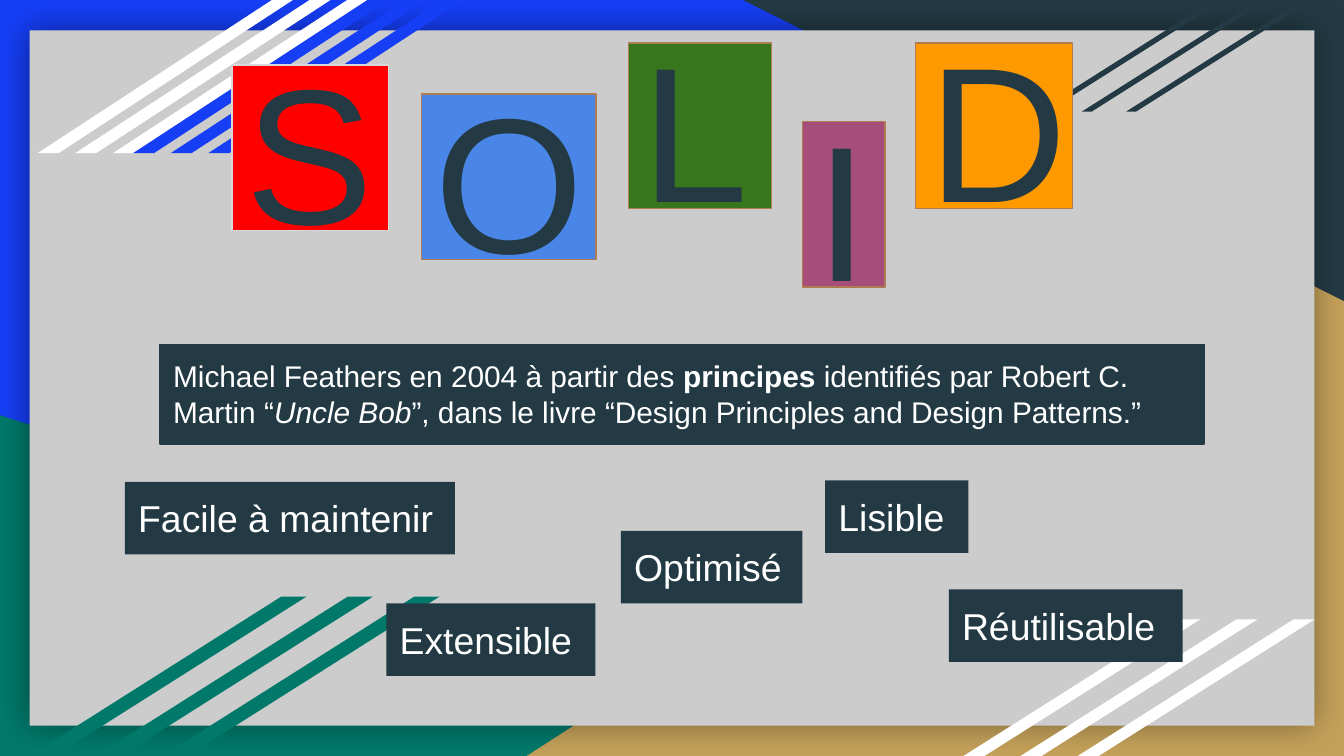
from pptx import Presentation
from pptx.dml.color import RGBColor as RGB
from pptx.enum.shapes import MSO_SHAPE as Kind
from pptx.enum.text import MSO_ANCHOR as Anchor, MSO_AUTO_SIZE as Fit, PP_ALIGN as Align
from pptx.oxml import parse_xml
from pptx.util import Pt

PX = 4572
THEME = {
    "blue": "163EF5", "green": "00796B", "sand": "C4A15A", "dark": "233A44",
    "grey": "CCCCCC", "white": "FFFFFF", "pale": "D9D9D9", "rust": "AF7B51",
    "red": "FF0000", "sky": "4A86E8", "leaf": "38761D", "plum": "A64D79",
    "gold": "FF9900",
    "font": "Arial", "quote": 16, "goal": 20, "letter": 103,
}


def block(kind, box, fill, line=None):
    shape = slide.shapes.add_shape(kind, *[n * PX for n in box])
    shape.shadow.inherit = False
    shape.fill.solid()
    shape.fill.fore_color.rgb = RGB.from_string(THEME[fill])
    if line:
        shape.line.color.rgb = RGB.from_string(THEME[line])
        shape.line.width = Pt(0.75)
    else:
        shape.line.fill.background()
    return shape


def write(shape, parts, size, color, anchor=Anchor.TOP, fit=Fit.SHAPE_TO_FIT_TEXT):
    frame = shape.text_frame
    frame.word_wrap = True
    frame.auto_size = fit
    frame.vertical_anchor = anchor
    frame.margin_left = frame.margin_right = 20 * PX
    frame.margin_top = frame.margin_bottom = 20 * PX
    para = frame.paragraphs[0]
    para.alignment = Align.LEFT
    for text, bold, slant in parts:
        run = para.add_run()
        run.text = text
        font = run.font
        font.name, font.size = THEME["font"], Pt(THEME[size])
        font.bold, font.italic = bold, slant
        font.color.rgb = RGB.from_string(THEME[color])


deck = Presentation()
deck.slide_width, deck.slide_height = 2000 * PX, 1125 * PX
slide = deck.slides.add_slide(deck.slide_layouts[6])
back = slide.background.fill
back.solid()
back.fore_color.rgb = RGB.from_string(THEME["blue"])

block(Kind.RIGHT_TRIANGLE, (0, 618, 1612, 507), "green")
right = block(Kind.RIGHT_TRIANGLE, (784, 340, 1216, 785), "sand")
right.element.spPr.get_or_add_xfrm().set("flipH", "1")
top = block(Kind.RIGHT_TRIANGLE, (1106, 0, 894, 448), "dark")
top.rotation = 180

panel = block(Kind.RECTANGLE, (44, 45, 1912, 1035), "grey")
props = panel.element.spPr
props.remove(props[-1])
props.append(parse_xml(
    '<a:effectLst xmlns:a="http://schemas.openxmlformats.org/drawingml/2006/main">'
    '<a:outerShdw blurRad="228600" dist="0" dir="0" algn="ctr" rotWithShape="0">'
    '<a:srgbClr val="000000"><a:alpha val="40000"/></a:srgbClr>'
    '</a:outerShdw></a:effectLst>'))

stripes = [
    (56, 168, 0, 380, 228, 1.53, "white"),
    (198, 310, 0, 380, 228, 1.53, "blue"),
    (1544, 1676, 2, 274, 164, 1.58, "dark"),
    (1434, 1604, 922, 352, 203, 1.58, "white"),
    (44, 242, 888, 412, 237, 1.58, "green"),
]
for first, last, y, wide, high, slope, color in stripes:
    for i in (2, 1, 0):
        x = first + (last - first) * i // 2
        bar = block(Kind.PARALLELOGRAM, (x, y, wide, high), color)
        bar.adjustments[0] = slope

quote = block(Kind.RECTANGLE, (238, 513, 1554, 148), "dark", "dark")
write(quote, [
    ("Michael Feathers en 2004 à partir des ", False, False),
    ("principes", True, False),
    (" identifiés par Robert C. Martin “", False, False),
    ("Uncle Bob", False, True),
    ("”, dans le livre “Design Principles and Design Patterns.”", False, False),
], "quote", "white")

letters = [
    ("S", 345, 97, 233, "red", "pale"),
    ("O", 627, 140, 260, "sky", "rust"),
    ("L", 935, 64, 213, "leaf", "rust"),
    ("I", 1194, 181, 123, "plum", "rust"),
    ("D", 1362, 64, 234, "gold", "rust"),
]
for text, x, y, wide, fill, edge in letters:
    tile = block(Kind.RECTANGLE, (x, y, wide, 246), fill, edge)
    write(tile, [(text, False, False)], "letter", "dark", Anchor.MIDDLE, Fit.NONE)

goals = [
    ("Lisible", 1228, 715, 213),
    ("Extensible", 575, 898, 311),
    ("Facile à maintenir", 186, 717, 491),
    ("Réutilisable", 1412, 877, 348),
    ("Optimisé", 924, 790, 270),
]
for text, x, y, wide in goals:
    label = block(Kind.RECTANGLE, (x, y, wide, 108), "dark")
    write(label, [(text, False, False)], "goal", "white")

deck.save("out.pptx")
